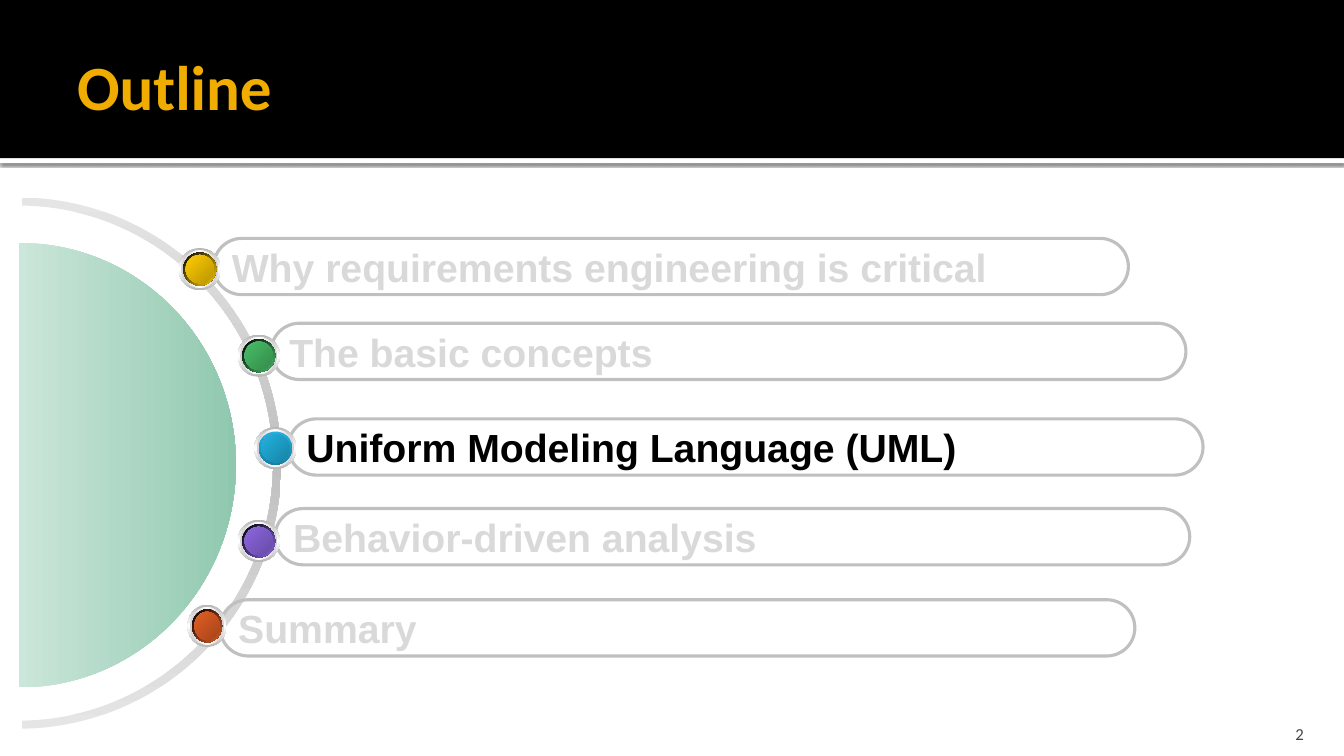
"""Build the Outline slide: a half-disc dial with five agenda bars."""
from lxml.etree import SubElement
from pptx import Presentation
from pptx.dml.color import RGBColor
from pptx.enum.shapes import MSO_SHAPE
from pptx.enum.text import MSO_ANCHOR, PP_ALIGN
from pptx.oxml.ns import qn
from pptx.util import Pt

COLORS = {
    "black": "000000", "white": "FFFFFF", "title": "F0AD00", "number": "454545",
    "muted": "D9D9D9", "silver": "C0C0C0", "ring": "E5E5E5",
    "mint": "CBE6DA", "green": "90C8AF",
    "rim": "B6B6B6", "bevel": "D1D1D1", "lilac": "9999FF", "slate": "7575C3",
    "gold": "FFCC00", "dark gold": "BA9500", "leaf": "48BE67", "dark leaf": "358B4B",
    "sky": "21B3E1", "dark sky": "1883A4", "sea": "1880A1",
    "violet": "8D67E1", "dark violet": "674BA4", "rust": "E35E23", "dark rust": "A6451A",
}
AGENDA = [
    ("Why requirements engineering is critical", "muted", 152.6, 170.3,
     127.6, 177.1, 30.2, "gold", ("black", "gold"), 45),
    ("The basic concepts", "muted", 193.7, 230.9,
     169.7, 239, 30.2, "leaf", ("black", "leaf"), 45),
    ("Uniform Modeling Language (UML)", "black", 205.9, 299.2,
     181.6, 305, 30.2, "sky", ("sky", "sea"), 90),
    ("Behavior-driven analysis", "muted", 196.4, 363.3,
     169.7, 371.3, 30.2, "violet", ("black", "violet"), 45),
    ("Summary", "muted", 157.2, 428.4,
     133.9, 432, 28, "rust", ("black", "rust"), 45),
]
RING = [(22, 204), (160, 206), (271, 320), (271, 460), (271, 599), (160, 713), (22, 715),
        (22, 723), (164, 721), (279, 604), (279, 460), (279, 315), (164, 198), (22, 196)]
DISC = [(19, 241), (138, 241), (234, 339), (234, 461), (234, 583), (138, 682), (19, 682)]


def paint(s, names, angle=0):
    """Fill a shape with one colour or an even gradient, without line or shadow."""
    s.shadow.inherit = False
    s.line.fill.background()
    if len(names) == 1:
        s.fill.solid()
        s.fill.fore_color.rgb = RGBColor.from_string(COLORS[names[0]])
        return
    s.fill.gradient()
    s.fill.gradient_angle = (360 - angle) % 360
    stops = s._element.spPr.find(qn("a:gradFill")).find(qn("a:gsLst"))
    for stop in list(stops):
        stops.remove(stop)
    for i, name in enumerate(names):
        stop = SubElement(stops, qn("a:gs"), pos=str(100000 * i // (len(names) - 1)))
        SubElement(stop, qn("a:srgbClr"), val=COLORS[name])


def write(s, text, font, anchor, margins, align=PP_ALIGN.LEFT):
    """Put one formatted line of text in a shape."""
    tf = s.text_frame
    tf.word_wrap = True
    tf.vertical_anchor = anchor
    for side, margin in zip(("left", "top", "right", "bottom"), margins):
        setattr(tf, f"margin_{side}", Pt(margin))
    p = tf.paragraphs[0]
    p.alignment = align
    r = p.add_run()
    r.text = text
    for name, value in font.items():
        if name == "color":
            r.font.color.rgb = RGBColor.from_string(COLORS[value])
        else:
            setattr(r.font, name, value)


prs = Presentation()
prs.slide_width, prs.slide_height = Pt(960), Pt(540)
slide = prs.slides.add_slide(prs.slide_layouts[6])
shapes = slide.shapes

for top, height, color in ((113, 3.6, "white"), (0, 113, "black")):
    s = shapes.add_shape(MSO_SHAPE.RECTANGLE, Pt(0), Pt(top), Pt(960), Pt(height))
    paint(s, [color])
    if color == "white":
        effects = s._element.spPr.find(qn("a:effectLst"))
        shadow = SubElement(effects, qn("a:outerShdw"), blurRad=str(Pt(2.5)),
                            dist=str(Pt(0.8)), dir="5400000", algn="t", rotWithShape="0")
        tone = SubElement(shadow, qn("a:srgbClr"), val=COLORS["black"])
        SubElement(tone, qn("a:alpha"), val="60000")

sp = shapes.add_textbox(Pt(48), Pt(11.7), Pt(864), Pt(98.6))
write(sp, "Outline", {"name": "Calibri", "size": Pt(45), "bold": True, "color": "title"},
      MSO_ANCHOR.MIDDLE, (7.2, 3.6, 3.6, 3.6))
sp = shapes.add_textbox(Pt(861.4), Pt(509.8), Pt(77), Pt(21.6))
write(sp, "2", {"name": "Calibri", "size": Pt(12), "color": "number"},
      MSO_ANCHOR.BOTTOM, (7.2, 3.6, 7.2, 0), PP_ALIGN.RIGHT)

for points, segments, names, angle in (
        (RING, "CCLCC", ("ring", "silver", "ring"), 90),
        (DISC, "CC", ("mint", "green"), 0)):
    builder = shapes.build_freeform(*points[0], scale=Pt(0.72))
    builder.add_line_segments(points[1:], close=True)
    s = builder.convert_to_shape()
    paint(s, names, angle)
    steps = iter(list(s._element.spPr.iter(qn("a:lnTo"))))
    for segment in segments:
        step = next(steps)
        if segment == "C":
            step.tag = qn("a:cubicBezTo")
            for extra in (next(steps), next(steps)):
                step.append(extra[0])
                extra.getparent().remove(extra)

for text, color, x, y, left, top, width, tint, edge, edge_angle in AGENDA:
    s = shapes.add_shape(MSO_SHAPE.ROUNDED_RECTANGLE, Pt(x), Pt(y), Pt(653.4), Pt(40.2))
    s.adjustments[0] = 0.5
    s.shadow.inherit = False
    s.fill.background()
    s.line.color.rgb = RGBColor.from_string(COLORS["silver"])
    s.line.width = Pt(2.25)
    write(s, text, {"name": "Arial", "size": Pt(28), "bold": True, "color": color},
          MSO_ANCHOR.MIDDLE, (7.2, 3.6, 7.2, 3.6))
    for inset, names, angle in (
            (0, ("rim", "white", "rim"), 90),
            (1.8, ("bevel", "white", "bevel"), 0),
            (3.3, ("white", "lilac", "white"), 45),
            (3.3, edge, edge_angle),
            (5, ("slate", "lilac", "slate"), 315),
            (5, (tint, f"dark {tint}"), 45)):
        s = shapes.add_shape(MSO_SHAPE.OVAL, Pt(left + inset), Pt(top + inset),
                             Pt(width - 2 * inset), Pt(30.2 - 2 * inset))
        paint(s, names, angle)

prs.save("out.pptx")
